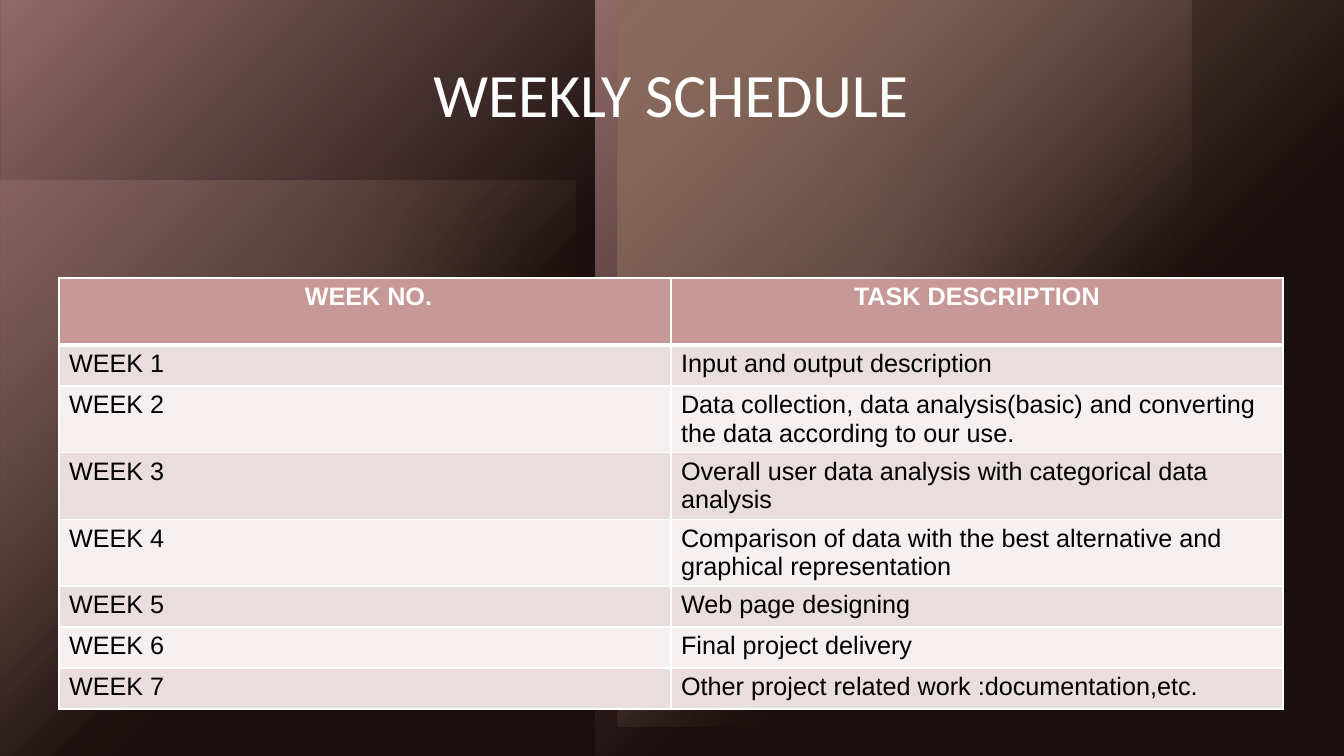
from dataclasses import dataclass

from lxml import etree
from pptx import Presentation
from pptx.dml.color import RGBColor
from pptx.enum import shapes, text
from pptx.oxml import ns


@dataclass(frozen=True)
class Theme:
    """Colours, fonts and type sizes of the deck."""
    black: str = "000000"
    white: str = "FFFFFF"
    rose: str = "C69896"
    tan: str = "BA997F"
    sage: str = "AAA480"
    veil: str = "412524"
    bands: tuple = ("EADDDD", "F5EFEF")
    title_font: str = "Calibri"
    table_font: str = "Arial"
    title_size: int = 44
    table_size: int = 18


def px(length):
    """Turn pixels into EMU."""
    return round(length * 914400 / 100.8)


def add_xml(parent, markup):
    """Append one DrawingML element written as markup."""
    head, rest = markup.split(" ", 1)
    element = etree.fromstring(f"{head} {ns.nsdecls('a')} {rest}")
    parent.append(element)
    return element


def write(frame, words, *, font, size, color, bold=False, align=text.PP_ALIGN.LEFT, spacing=1.0):
    """Put one formatted paragraph into a text frame."""
    para = frame.paragraphs[0]
    para.alignment = align
    para.line_spacing = spacing
    span = para.add_run()
    span.text = words
    span.font.name = font
    span.font.size = size * 12700
    span.font.bold = bold
    span.font.color.rgb = RGBColor.from_string(color)


class SlideBuilder:
    """Draw styled elements on the current slide."""

    def __init__(self, page, theme):
        """Keep the slide and its theme."""
        self.page = page
        self.theme = theme

    def background(self, color):
        """Fill the slide background."""
        fill = self.page.background.fill
        fill.solid()
        fill.fore_color.rgb = RGBColor.from_string(color)

    def shape(self, kind, place, rotation=0, flips=""):
        """Add a borderless preset shape, turned and flipped as asked."""
        box = self.page.shapes.add_shape(kind, *map(px, place))
        box.shadow.inherit = False
        box.line.fill.background()
        box.rotation = rotation
        for axis in flips:
            box._element.spPr.xfrm.set(f"flip{axis}", "1")
        return box

    def glow(self, place, color, opacity=100, rotation=0, flips="V"):
        """Add a square of light that fades out from one corner."""
        box = self.shape(shapes.MSO_SHAPE.RECTANGLE, place, rotation, flips)
        stops = "".join(
            f'<a:gs pos="{position}000"><a:srgbClr val="{color}">'
            f'<a:alpha val="{alpha}000"/></a:srgbClr></a:gs>'
            for position, alpha in ((0, opacity), (60, 0)))
        properties = box._element.spPr
        gradient = add_xml(properties, (
            f'<a:gradFill rotWithShape="1"><a:gsLst>{stops}</a:gsLst><a:path path="circle">'
            '<a:fillToRect r="100000" b="100000"/></a:path></a:gradFill>'))
        properties.find(ns.qn("a:prstGeom")).addnext(gradient)

    def tint(self, kind, place, color, opacity, soft=0, flips=""):
        """Add a translucent shape, with a soft edge if asked."""
        box = self.shape(kind, place, flips=flips)
        box.fill.solid()
        box.fill.fore_color.rgb = RGBColor.from_string(color)
        properties = box._element.spPr
        add_xml(properties.find(f".//{ns.qn('a:srgbClr')}"), f'<a:alpha val="{opacity}000"/>')
        if soft:
            add_xml(properties.find(ns.qn("a:effectLst")), f'<a:softEdge rad="{px(soft)}"/>')

    def title(self, words, place):
        """Place the title above the backdrop."""
        box = self.page.shapes.title
        box._element.getparent().append(box._element)
        box.left, box.top, box.width, box.height = map(px, place)
        box.text_frame.vertical_anchor = text.MSO_ANCHOR.TOP
        write(box.text_frame, words, font=self.theme.title_font, size=self.theme.title_size,
              color=self.theme.white, align=text.PP_ALIGN.CENTER, spacing=0.9)

    def cell(self, cell, words, fill, bottom=1, **style):
        """Fill, frame and write one table cell."""
        properties = cell._tc.get_or_add_tcPr()
        for side, points in (("L", 1), ("R", 1), ("T", 1), ("B", bottom)):
            add_xml(properties, (
                f'<a:ln{side} w="{points * 12700}"><a:solidFill>'
                f'<a:srgbClr val="{self.theme.white}"/></a:solidFill></a:ln{side}>'))
        cell.fill.solid()
        cell.fill.fore_color.rgb = RGBColor.from_string(fill)
        write(cell.text_frame, words, font=self.theme.table_font,
              size=self.theme.table_size, **style)

    def table(self, header, rows, place, heights):
        """Add a table with a header and banded rows."""
        grid = self.page.shapes.add_table(len(rows) + 1, len(header), *map(px, place)).table
        for row, height in zip(grid.rows, heights):
            row.height = px(height)
        for column, words in enumerate(header):
            self.cell(grid.cell(0, column), words, self.theme.rose, bottom=3, bold=True,
                      color=self.theme.white, align=text.PP_ALIGN.CENTER)
        for number, row in enumerate(rows):
            for column, words in enumerate(row):
                self.cell(grid.cell(number + 1, column), words, self.theme.bands[number % 2],
                          bottom=1, color=self.theme.black)


def main():
    """Build the weekly schedule slide."""
    deck = Presentation()
    deck.slide_width, deck.slide_height = px(1344), px(756)
    theme = Theme()
    slide = SlideBuilder(deck.slides.add_slide(deck.slide_layouts[5]), theme)
    oval, rectangle = shapes.MSO_SHAPE.OVAL, shapes.MSO_SHAPE.RECTANGLE

    slide.background(theme.black)
    slide.glow((0, 181, 576, 576), theme.tan, opacity=60)
    slide.tint(oval, (634, 43, 476, 476), theme.sage, 60, soft=140, flips="V")
    slide.tint(oval, (0, 56, 700, 700), theme.sage, 20, soft=140, flips="V")
    slide.glow((0, 0, 596, 756), theme.rose, rotation=180)
    slide.glow((596, 0, 596, 756), theme.rose, rotation=180, flips="HV")
    slide.glow((618, 0, 727, 727), theme.tan, rotation=180)
    slide.tint(rectangle, (0, 0, 1344, 756), theme.veil, 40)

    slide.title("WEEKLY SCHEDULE", (59, 59, 1224, 200))
    tasks = (
        "Input and output description",
        "Data collection, data analysis(basic) and converting the data according to our use.",
        "Overall user data analysis with categorical data analysis",
        "Comparison of data with the best alternative and graphical representation",
        "Web page designing",
        "Final project delivery",
        "Other project related work :documentation,etc.",
    )
    rows = [(f"WEEK {number}", task) for number, task in enumerate(tasks, 1)]
    slide.table((" WEEK NO.", "TASK DESCRIPTION"), rows, (59, 278, 1224, 430),
                (67, 41, 66, 67, 66, 41, 41, 41))
    deck.save("out.pptx")


if __name__ == "__main__":
    main()
